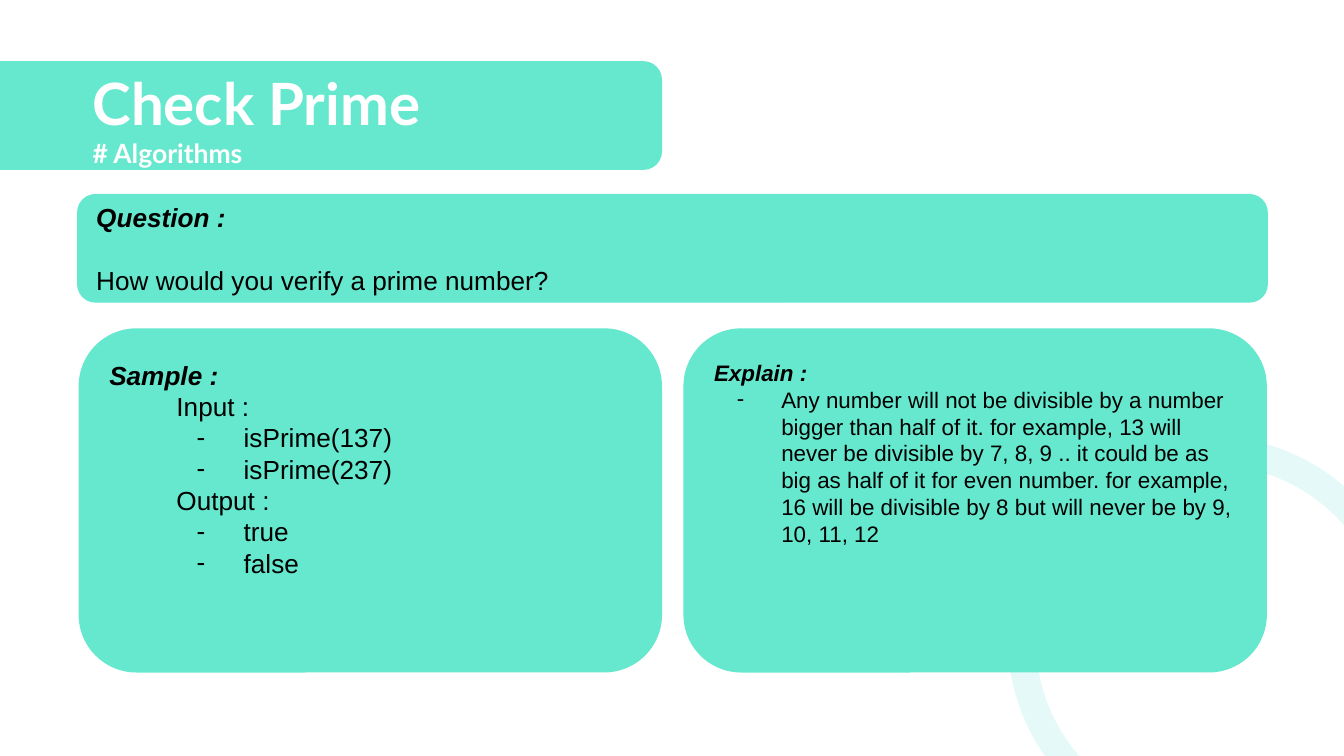
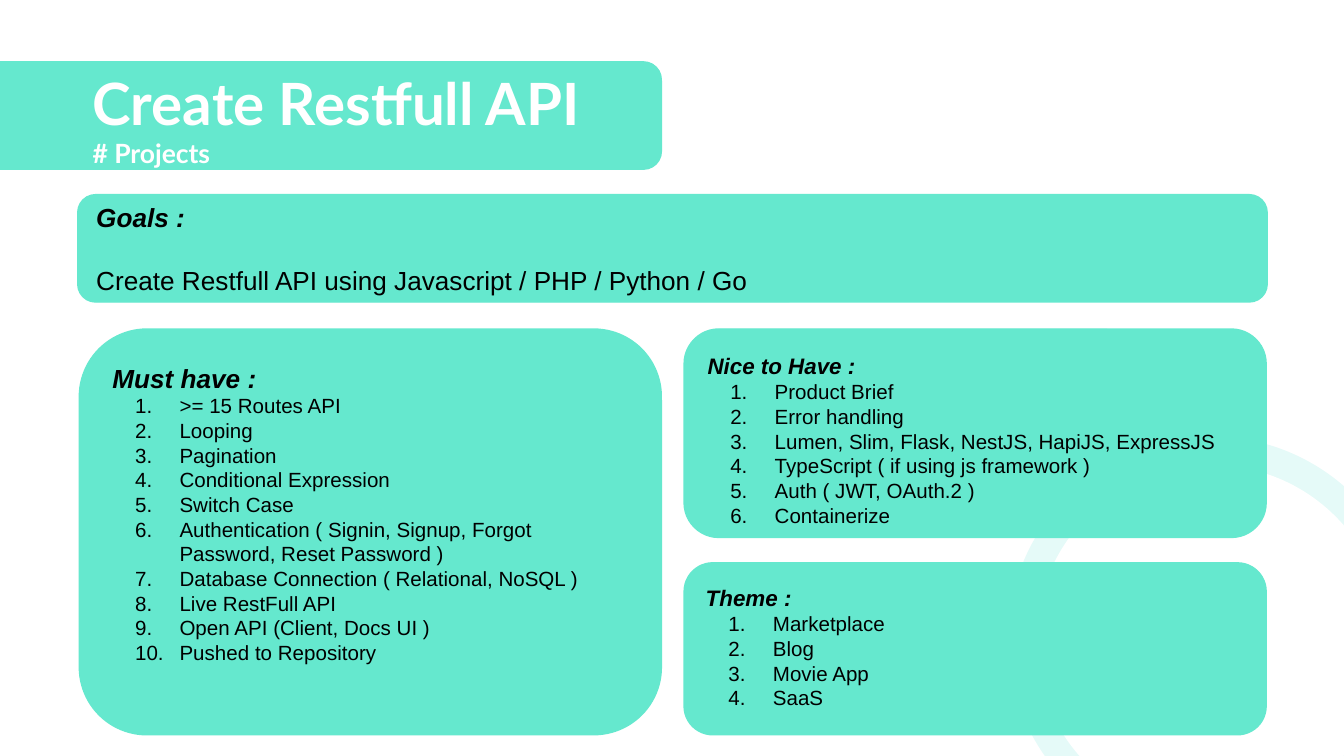
from lxml import etree
from pptx import Presentation
from pptx.dml.color import RGBColor
from pptx.enum.shapes import MSO_SHAPE as Shape
from pptx.enum.text import MSO_ANCHOR as Anchor, PP_ALIGN as Align
from pptx.oxml.ns import qn
from pptx.util import Cm, Pt

MINT = RGBColor(0x65, 0xE8, 0xCE)
TEAL = RGBColor(0x1B, 0xD2, 0xC6)
WHITE = RGBColor(0xFF, 0xFF, 0xFF)
BLACK = RGBColor(0x00, 0x00, 0x00)

PANEL_TOP = 6.22
PANEL_WIDTH = 11
LEFT_COLUMN, RIGHT_COLUMN = 1.5, 12.93
PANEL_GAP = 0.48
HANGING = dict(indent=1.27, first=-0.84)
DEEP_HANGING = dict(indent=2.54, first=-0.89)


def write(frame, text, size=14, font="Arial", color=BLACK, bold=False, italic=False,
          indent=0, first=0, bullet=None, before=0):
    """Add one paragraph; bullet is a character, or "1." for numbering."""
    is_first = len(frame.paragraphs) == 1 and not frame.paragraphs[0].runs
    para = frame.paragraphs[0] if is_first else frame.add_paragraph()
    para.alignment = Align.LEFT
    para.space_before = Pt(before)
    span = para.add_run()
    span.text = text
    span.font.name, span.font.size = font, Pt(size)
    span.font.bold, span.font.italic = bold, italic
    span.font.color.rgb = color
    properties = para._p.get_or_add_pPr()
    properties.set("marL", str(Cm(indent)))
    properties.set("indent", str(Cm(first)))
    if bullet:
        tint = etree.SubElement(properties, qn("a:buClr"))
        etree.SubElement(tint, qn("a:srgbClr"), val=str(color))
        etree.SubElement(properties, qn("a:buFont"), typeface=font)
        if bullet == "1.":
            etree.SubElement(properties, qn("a:buAutoNum"), type="arabicPeriod")
        else:
            etree.SubElement(properties, qn("a:buChar"), char=bullet)


class SlideBuilder:
    def __init__(self, deck):
        self.deck = deck
        self.slide = None

    def start(self, title, tag):
        """Begin a slide with the shared title band and corner ring."""
        self.slide = self.deck.slides.add_slide(self.deck.slide_layouts[6])
        self.rounded(-3.96, 1.17, 16.46, 2.03)
        box = self.slide.shapes.add_textbox(Cm(1.5), Cm(1.22), Cm(10.52), Cm(2.01))
        frame = self.prepare(box, Anchor.MIDDLE)
        for text, size in ((title, 31.2), (tag, 14.2)):
            write(frame, text, size=size, font="Lato", color=WHITE, bold=True)
        self.circle(19.05, 8.25, 7.67, TEAL, opacity=11)
        self.circle(19.58, 8.79, 6.63, WHITE)

    def prepare(self, shape, anchor):
        frame = shape.text_frame
        frame.word_wrap = True
        frame.vertical_anchor = anchor
        frame.margin_left = frame.margin_right = Cm(0.25)
        frame.margin_top = frame.margin_bottom = Cm(0.25)
        return frame

    def filled(self, kind, left, top, width, height, color):
        shape = self.slide.shapes.add_shape(kind, Cm(left), Cm(top), Cm(width), Cm(height))
        shape.shadow.inherit = False
        shape.fill.solid()
        shape.fill.fore_color.rgb = color
        return shape

    def circle(self, left, top, diameter, color, opacity=100):
        shape = self.filled(Shape.OVAL, left, top, diameter, diameter, color)
        shape.line.fill.background()
        if opacity < 100:
            tint = shape.fill._xPr.find(".//" + qn("a:srgbClr"))
            etree.SubElement(tint, qn("a:alpha"), val=str(opacity * 1000))

    def rounded(self, left, top, width, height, anchor=Anchor.TOP):
        shape = self.filled(Shape.ROUNDED_RECTANGLE, left, top, width, height, MINT)
        shape.line.color.rgb = MINT
        shape.line.width = Pt(0.75)
        return self.prepare(shape, anchor)

    def statement(self, heading, text):
        frame = self.rounded(1.47, 3.68, 22.48, 2.03, Anchor.MIDDLE)
        write(frame, heading, bold=True, italic=True)
        write(frame, text, before=16.8)

    def panel(self, left, top, height, heading, size=14):
        frame = self.rounded(left, top, PANEL_WIDTH, height)
        write(frame, heading, size=size, bold=True, italic=True)
        return frame

    def numbered_panel(self, left, top, height, heading, items, size=12):
        frame = self.panel(left, top, height, heading, size)
        for item in items:
            write(frame, item, size=11, bullet="1.", **HANGING)


def build_check_prime(builder):
    builder.start("Check Prime", "# Algorithms")
    builder.statement("Question :", "How would you verify a prime number?")
    height = 6.48
    sample = builder.panel(LEFT_COLUMN, PANEL_TOP, height, "Sample :")
    for label, values in (("Input :", ("isPrime(137)", "isPrime(237)")),
                          ("Output :", ("true", "false"))):
        write(sample, label, indent=1.27)
        for value in values:
            write(sample, value, bullet="-", **DEEP_HANGING)
    explanation = builder.panel(RIGHT_COLUMN, PANEL_TOP, height, "Explain :", size=12)
    write(explanation,
          "Any number will not be divisible by a number bigger than half of it. "
          "for example, 13 will never be divisible by 7, 8, 9 .. it could be as big "
          "as half of it for even number. for example, 16 will be divisible by 8 but "
          "will never be by 9, 10, 11, 12", size=12, bullet="-", **HANGING)


def build_api_project(builder):
    builder.start("Create Restfull API", "# Projects")
    builder.statement("Goals :", "Create Restfull API using Javascript / PHP / Python / Go")
    full_height, nice_height = 7.67, 3.94
    builder.numbered_panel(LEFT_COLUMN, PANEL_TOP, full_height, "Must have :", (
        ">= 15 Routes API", "Looping", "Pagination", "Conditional Expression",
        "Switch Case",
        "Authentication ( Signin, Signup, Forgot Password, Reset Password )",
        "Database Connection ( Relational, NoSQL )", "Live RestFull API",
        "Open API (Client, Docs UI )", "Pushed to Repository"), size=14)
    builder.numbered_panel(RIGHT_COLUMN, PANEL_TOP, nice_height, "Nice to Have :", (
        "Product Brief", "Error handling",
        "Lumen, Slim, Flask, NestJS, HapiJS, ExpressJS",
        "TypeScript ( if using js framework )", "Auth ( JWT, OAuth.2 )",
        "Containerize"))
    theme_offset = nice_height + PANEL_GAP
    builder.numbered_panel(RIGHT_COLUMN, PANEL_TOP + theme_offset,
                           full_height - theme_offset, "Theme :",
                           ("Marketplace", "Blog", "Movie App", "SaaS"))


def main():
    deck = Presentation()
    deck.slide_width, deck.slide_height = Cm(25.4), Cm(14.29)
    builder = SlideBuilder(deck)
    build_check_prime(builder)
    build_api_project(builder)
    deck.save("out.pptx")


if __name__ == "__main__":
    main()
